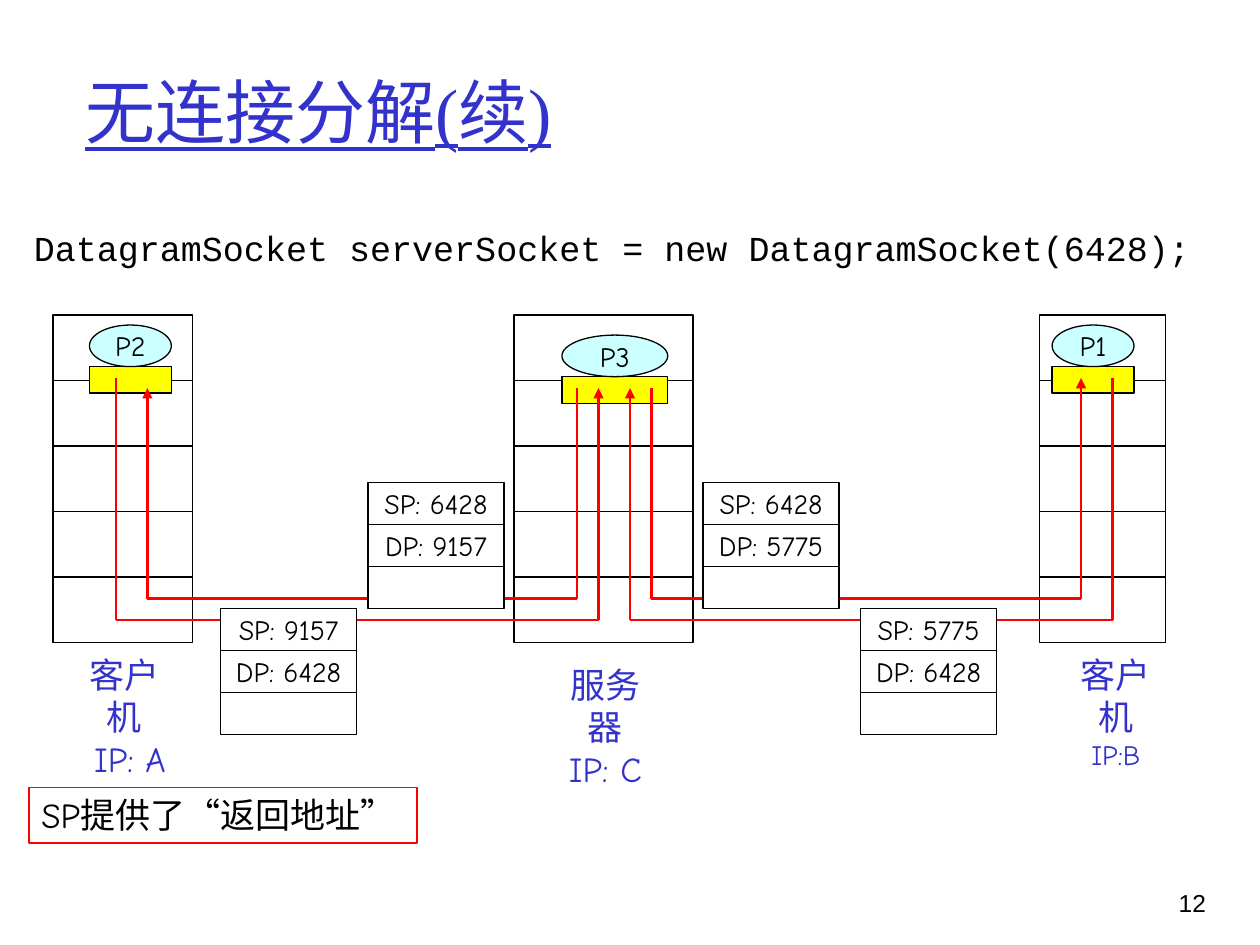
from dataclasses import dataclass

from lxml import etree
from pptx import Presentation
from pptx.dml.color import RGBColor
from pptx.enum.shapes import MSO_CONNECTOR, MSO_SHAPE
from pptx.enum.text import MSO_ANCHOR, PP_ALIGN
from pptx.oxml.ns import qn
from pptx.util import Inches, Pt

RECTANGLE, OVAL = MSO_SHAPE.RECTANGLE, MSO_SHAPE.OVAL
STRAIGHT = MSO_CONNECTOR.STRAIGHT
TOP, MIDDLE = MSO_ANCHOR.TOP, MSO_ANCHOR.MIDDLE
LEFT, CENTER, RIGHT = PP_ALIGN.LEFT, PP_ALIGN.CENTER, PP_ALIGN.RIGHT


@dataclass(frozen=True)
class Theme:
    black: str = "000000"
    white: str = "FFFFFF"
    blue: str = "3333CC"
    red: str = "FF0000"
    yellow: str = "FFFF00"
    cyan: str = "CCFFFF"
    hand: str = "Comic Neue"
    serif: str = "Times New Roman"
    code: str = "Courier New"
    sans: str = "Arial"
    title: int = 40
    body: int = 20
    label: int = 16
    number: int = 14
    outline: float = 0.75
    route: float = 1.5


@dataclass(frozen=True)
class Box:
    left: float
    top: float
    width: float
    height: float


@dataclass(frozen=True)
class Host:
    left: float
    width: float
    process: str
    oval: Box
    caption_box: Box
    caption: tuple[str, str]
    address_size: int


@dataclass(frozen=True)
class Route:
    start_x: float
    start_y: float
    level: float
    end_x: float
    end_y: float


@dataclass(frozen=True)
class Packet:
    left: float
    top: float
    source_port: int
    destination_port: int


THEME = Theme()
LAYER_COUNT, LAYER_TOP, LAYER_HEIGHT = 5, 2.5, 0.52
PORT_HEIGHT = 0.21
PACKET_WIDTH, PACKET_ROW = 1.08, 1 / 3

HOSTS = (
    Host(0.42, 1.11, "P2", Box(0.71, 2.58, 0.65, 0.33),
         Box(0.47, 5.14, 1.03, 0.77), ("客户机", " IP: A"), THEME.body),
    Host(8.25, 1, "P1", Box(8.35, 2.58, 0.65, 0.33),
         Box(8.34, 5.14, 1.03, 0.7), ("客户机", "IP:B"), THEME.label),
    Host(4.08, 1.42, "P3", Box(4.46, 2.66, 0.84, 0.33),
         Box(4.29, 5.22, 1.03, 0.77), ("服务器", "IP: C"), THEME.body),
)
ROUTES = (
    Route(0.92, 3, 4.92, 4.75, 3.08),
    Route(4.58, 3.08, 4.75, 1.17, 3.08),
    Route(8.83, 3, 4.92, 5, 3.08),
    Route(5.17, 3.08, 4.75, 8.58, 3),
)
PACKETS = (
    Packet(2.92, 3.83, 6428, 9157),
    Packet(1.75, 4.83, 9157, 6428),
    Packet(5.58, 3.83, 6428, 5775),
    Packet(6.83, 4.83, 5775, 6428),
)


def lengths(box: Box) -> list:
    return [Inches(value) for value in (box.left, box.top, box.width, box.height)]


def write(shape, lines, sizes, font=THEME.hand, color=THEME.black,
          align=LEFT, anchor=TOP, wrap=False, underline=None) -> None:
    """Fill the shape with one paragraph per line, each at its own size."""
    frame = shape.text_frame
    frame.word_wrap = wrap
    frame.vertical_anchor = anchor
    for index, (line, size) in enumerate(zip(lines, sizes)):
        paragraph = frame.add_paragraph() if index else frame.paragraphs[0]
        paragraph.text = line
        paragraph.alignment = align
        settings = {"name": font, "size": Pt(size), "underline": underline}
        for name, value in settings.items():
            setattr(paragraph.font, name, value)
        paragraph.font.color.rgb = RGBColor.from_string(color)


def add_text(slide, box: Box, lines, sizes, **settings) -> None:
    write(slide.shapes.add_textbox(*lengths(box)), lines, sizes, **settings)


def add_outlined(slide, kind, box: Box, fill=None, line=THEME.black):
    shape = slide.shapes.add_shape(kind, *lengths(box))
    shape.shadow.inherit = False
    if fill:
        shape.fill.solid()
        shape.fill.fore_color.rgb = RGBColor.from_string(fill)
    else:
        shape.fill.background()
    shape.line.color.rgb = RGBColor.from_string(line)
    shape.line.width = Pt(THEME.outline)
    return shape


def add_host(slide, host: Host) -> None:
    for layer in range(LAYER_COUNT):
        top = LAYER_TOP + layer * LAYER_HEIGHT
        add_outlined(slide, RECTANGLE, Box(host.left, top, host.width, LAYER_HEIGHT), THEME.white)
    oval = host.oval
    port = Box(oval.left, oval.top + oval.height, oval.width, PORT_HEIGHT)
    add_outlined(slide, RECTANGLE, port, THEME.yellow)
    process = add_outlined(slide, OVAL, oval, THEME.cyan)
    write(process, [host.process], [THEME.label], align=CENTER, anchor=MIDDLE)
    add_text(slide, host.caption_box, host.caption, (THEME.body, host.address_size),
             color=THEME.blue, align=CENTER)


def add_route(slide, route: Route) -> None:
    """Draw the path down, across and up, with an arrowhead at its end."""
    points = ((route.start_x, route.start_y), (route.start_x, route.level),
              (route.end_x, route.level), (route.end_x, route.end_y))
    for start, end in zip(points, points[1:]):
        connector = slide.shapes.add_connector(
            STRAIGHT, *(Inches(value) for value in start + end))
        connector.line.color.rgb = RGBColor.from_string(THEME.red)
        connector.line.width = Pt(THEME.route)
        properties = connector._element.spPr
        etree.SubElement(properties, qn("a:effectLst"))
    etree.SubElement(properties.find(qn("a:ln")), qn("a:tailEnd"), type="triangle")


def add_packet(slide, packet: Packet) -> None:
    labels = (f"SP: {packet.source_port}", f"DP: {packet.destination_port}", None)
    for row, label in enumerate(labels):
        box = Box(packet.left, packet.top + row * PACKET_ROW, PACKET_WIDTH, PACKET_ROW)
        cell = add_outlined(slide, RECTANGLE, box, THEME.white)
        if label:
            write(cell, [label], [THEME.label], align=CENTER, anchor=MIDDLE)


def main() -> None:
    presentation = Presentation()
    presentation.slide_width, presentation.slide_height = Inches(10), Inches(7.5)
    slide = presentation.slides.add_slide(presentation.slide_layouts[6])

    add_text(slide, Box(0.58, 0.25, 8.5, 1.25), ["无连接分解(续)"], [THEME.title],
             font=THEME.serif, color=THEME.blue, anchor=MIDDLE, wrap=True, underline=True)
    add_text(slide, Box(0.17, 1.75, 9.5, 0.67),
             ["DatagramSocket serverSocket = new DatagramSocket(6428);"], [THEME.body],
             font=THEME.code, wrap=True)
    for host in HOSTS:
        add_host(slide, host)
    for route in ROUTES:
        add_route(slide, route)
    for packet in PACKETS:
        add_packet(slide, packet)
    note = add_outlined(slide, RECTANGLE, Box(0.23, 6.25, 3.08, 0.44), line=THEME.red)
    write(note, ["SP提供了“返回地址”"], [THEME.body])
    add_text(slide, Box(8.93, 7, 0.74, 0.5), ["12"], [THEME.number],
             font=THEME.sans, align=RIGHT, wrap=True)
    presentation.save("out.pptx")


if __name__ == "__main__":
    main()
